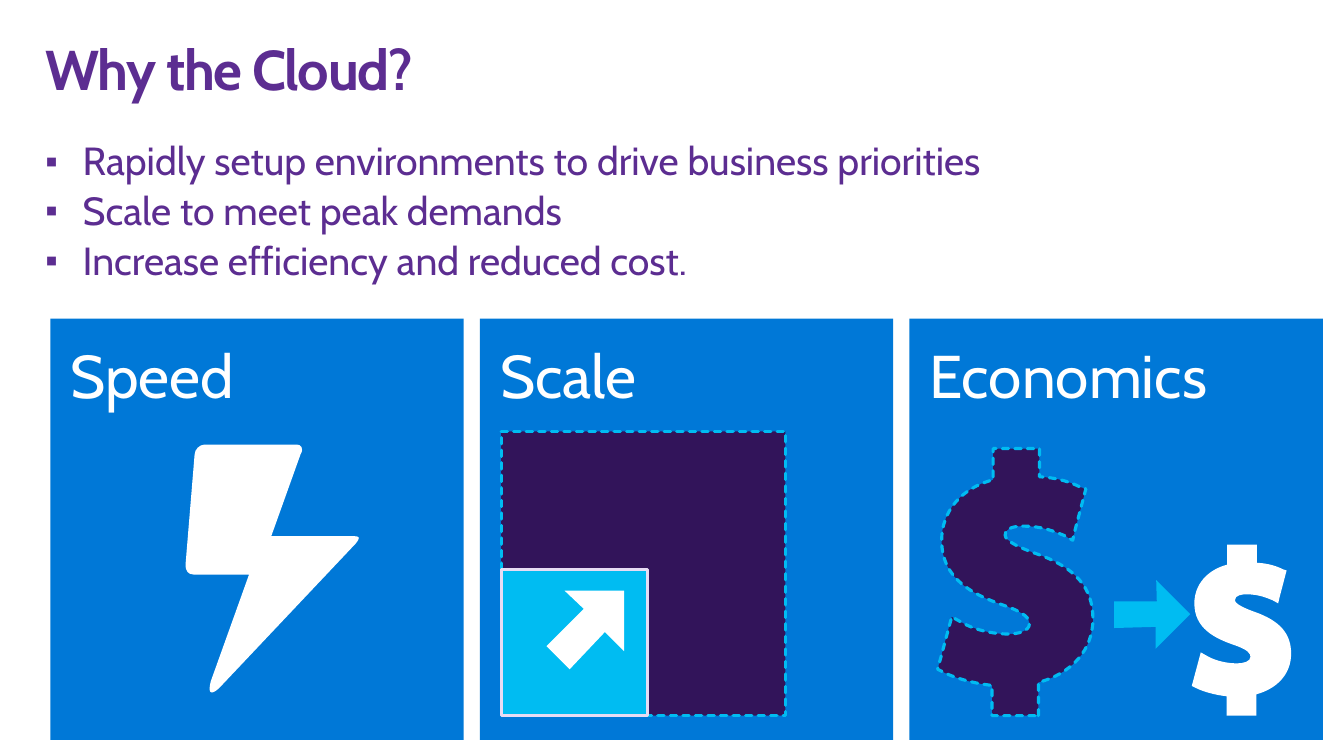
from lxml import etree
from pptx import Presentation
from pptx.dml.color import RGBColor
from pptx.enum import dml, shapes, text
from pptx.oxml.ns import qn
from pptx.util import Inches, Pt

FONT = "Cabin"
BULLET_FONT = "Arial"
PURPLE = RGBColor(0x5C, 0x2D, 0x91)
DARK = RGBColor(0x32, 0x14, 0x5A)
BLUE = RGBColor(0x00, 0x78, 0xD7)
CYAN = RGBColor(0x00, 0xBC, 0xF2)
LILAC = RGBColor(0xE7, 0xDC, 0xF4)
WHITE = RGBColor(0xFF, 0xFF, 0xFF)

TITLE = "Why the Cloud?"
BULLETS = [
    "Rapidly setup environments to drive business priorities",
    "Scale to meet peak demands",
    "Increase efficiency and reduced cost.",
]
TILES = ["Speed", "Scale", "Economics"]
TILE_LEFT, TILE_TOP, TILE_W, TILE_H, TILE_STEP = 0.5, 3.16, 4.1, 4.18, 4.26
BOTTOM = 7.1

# Outlines: two numbers are a corner, six are a cubic curve.
DOLLAR = [
    (1, 2.65), (1, 2.32), (1.33, 2.23, 1.54, 2, 1.54, 1.69),
    (1.54, 1.38, 1.37, 1.18, 0.97, 1.04), (0.83, 0.99, 0.67, 0.92, 0.67, 0.86),
    (0.67, 0.78, 0.78, 0.77, 0.85, 0.77), (1.05, 0.77, 1.17, 0.83, 1.25, 0.86),
    (1.34, 0.91), (1.36, 0.82), (1.47, 0.4), (1.41, 0.38),
    (1.33, 0.34, 1.2, 0.29, 1.01, 0.28), (1.01, 0), (0.55, 0), (0.55, 0.31),
    (0.24, 0.39, 0.04, 0.62, 0.04, 0.91), (0.04, 1.3, 0.36, 1.45, 0.64, 1.55),
    (0.88, 1.63, 0.91, 1.69, 0.91, 1.74), (0.91, 1.81, 0.8, 1.84, 0.7, 1.84),
    (0.49, 1.84, 0.31, 1.77, 0.23, 1.72), (0.14, 1.67), (0, 2.19), (0.06, 2.22),
    (0.18, 2.28, 0.36, 2.33, 0.54, 2.35), (0.54, 2.65),
]
BOLT = [
    (1.14, 0.1), (1.18, 0.03, 1.14, 0, 1.1, 0), (0.19, 0),
    (0.14, 0, 0.09, 0.05, 0.09, 0.1), (0, 1.19), (0, 1.26, 0.03, 1.29, 0.08, 1.29),
    (0.63, 1.29), (0.25, 2.35), (0.22, 2.47, 0.25, 2.49, 0.33, 2.42),
    (1.69, 0.98), (1.73, 0.93, 1.73, 0.91, 1.68, 0.91), (0.85, 0.91),
]
ARROW = [(0.77, 0), (0.77, 0.6), (0.58, 0.41), (0.23, 0.78), (0, 0.55), (0.37, 0.18), (0.18, 0)]


def paint(sp, fill, line=None, dashed=False):
    sp.shadow.inherit = False
    sp.fill.solid()
    sp.fill.fore_color.rgb = fill
    if line is None:
        sp.line.fill.background()
        return
    sp.line.color.rgb = line
    sp.line.width = Pt(2.25)
    if dashed:
        sp.line.dash_style = dml.MSO_LINE.SQUARE_DOT
        sp.line._get_or_add_ln().set("cap", "rnd")


def add_rect(s, x, y, w, h, *style):
    sp = s.shapes.add_shape(shapes.MSO_SHAPE.RECTANGLE, Inches(x), Inches(y), Inches(w), Inches(h))
    paint(sp, *style)
    return sp


def add_outline(s, outline, x, y, scale, *style):
    def place(px, py):
        return Inches(x + px * scale), Inches(y + py * scale)

    corners = [place(*part[-2:]) for part in outline]
    builder = s.shapes.build_freeform(*corners[0])
    builder.add_line_segments(corners[1:], close=True)
    sp = builder.convert_to_shape()
    for part, seg in zip(outline[1:], list(sp._element.iter(qn("a:lnTo")))):
        if len(part) == 6:
            seg.tag = qn("a:cubicBezTo")
            for i in (0, 1):
                px, py = place(*part[2 * i:2 * i + 2])
                pt = etree.Element(qn("a:pt"), x=str(px - sp.left), y=str(py - sp.top))
                seg.insert(i, pt)
    paint(sp, *style)
    return sp


def set_frame(tf, dx, dy):
    tf.word_wrap = True
    tf.vertical_anchor = text.MSO_ANCHOR.TOP
    tf.margin_left = tf.margin_right = Inches(dx)
    tf.margin_top = tf.margin_bottom = Inches(dy)


def format_text(p, size, color):
    p.alignment = text.PP_ALIGN.LEFT
    for r in p.runs:
        r.font.name = FONT
        r.font.size = Pt(size)
        r.font.color.rgb = color


def add_text(s, y, h):
    tf = s.shapes.add_textbox(Inches(0.29), Inches(y), Inches(12.75), Inches(h)).text_frame
    set_frame(tf, 0.16, 0.1)
    return tf


def add_bullet(p):
    pPr = p._p.get_or_add_pPr()
    pPr.set("marL", str(Inches(0.37)))
    pPr.set("indent", str(-Inches(0.37)))
    for tag, key, value in [("a:buSzPct", "val", "90000"),
                            ("a:buFont", "typeface", BULLET_FONT),
                            ("a:buChar", "char", "▪")]:
        etree.SubElement(pPr, qn(tag)).set(key, value)


def main():
    prs = Presentation()
    prs.slide_width, prs.slide_height = Inches(13.33), Inches(7.5)
    s = prs.slides.add_slide(prs.slide_layouts[6])

    p = add_text(s, 0.32, 0.98).paragraphs[0]
    p.text = TITLE
    p.line_spacing = 0.9
    format_text(p, 40, PURPLE)
    r = p.runs[0]
    r.font.bold = True
    r._r.get_or_add_rPr().set("spc", "-100")

    tf = add_text(s, 1.31, 1.66)
    for i, bullet in enumerate(BULLETS):
        p = tf.add_paragraph() if i else tf.paragraphs[0]
        p.text = bullet
        add_bullet(p)
        p.line_spacing = 0.9
        p.space_before = Pt(5.2 if i else 0)
        format_text(p, 28, PURPLE)

    for i, name in enumerate(TILES):
        sp = add_rect(s, TILE_LEFT + i * TILE_STEP, TILE_TOP, TILE_W, TILE_H, BLUE)
        set_frame(sp.text_frame, 0.2, 0.2)
        sp.text_frame.text = name
        format_text(sp.text_frame.paragraphs[0], 43.1, WHITE)

    add_outline(s, BOLT, 1.84, 4.41, 1, WHITE)

    for side, style in [(2.82, (DARK, CYAN, True)), (1.45, (CYAN, LILAC))]:
        add_rect(s, 4.97, BOTTOM - side, side, side, *style)
    add_outline(s, ARROW, 5.42, 5.86, 1, WHITE)

    for x, scale, style in [(9.3, 1, (DARK, CYAN, True)), (11.82, 0.64, (WHITE,))]:
        add_outline(s, DOLLAR, x, BOTTOM - 2.65 * scale, scale, *style)
    add_outline(s, ARROW, 11.05, 5.78, 0.81, CYAN).rotation = 45

    prs.save("out.pptx")


if __name__ == "__main__":
    main()
